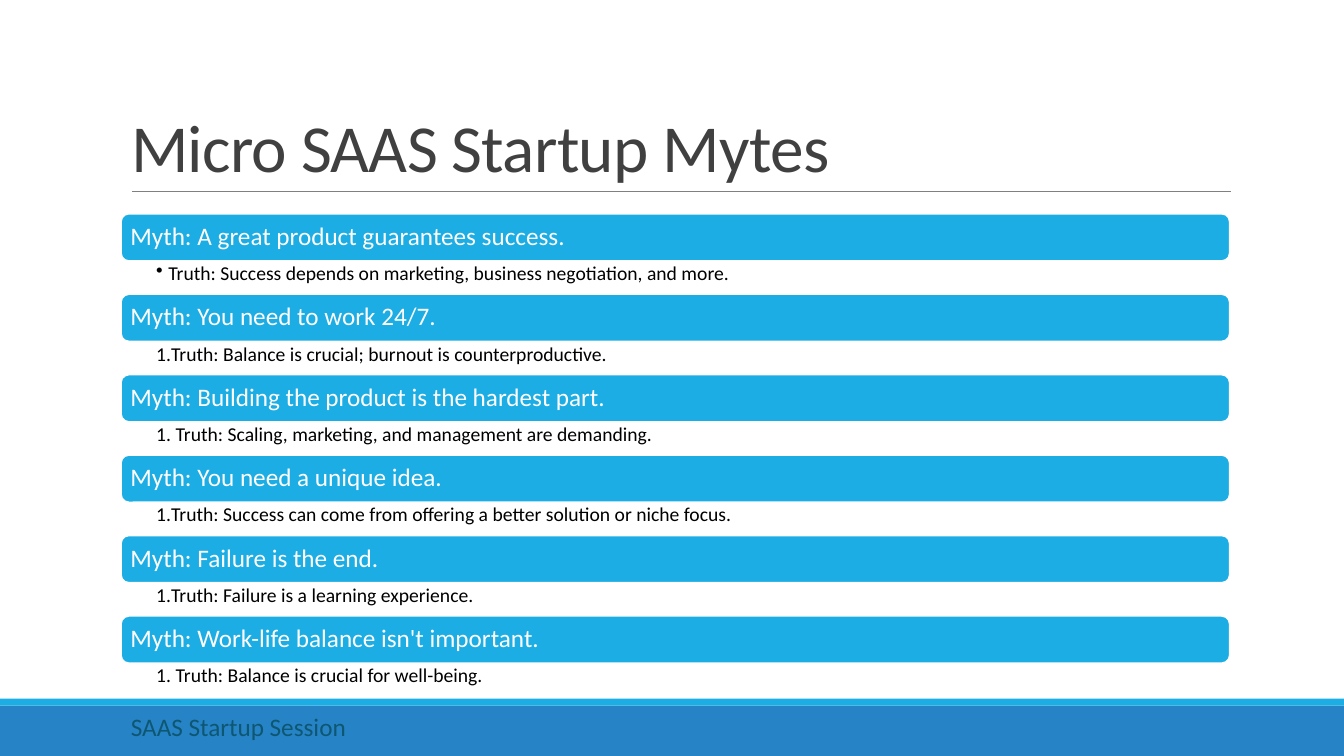
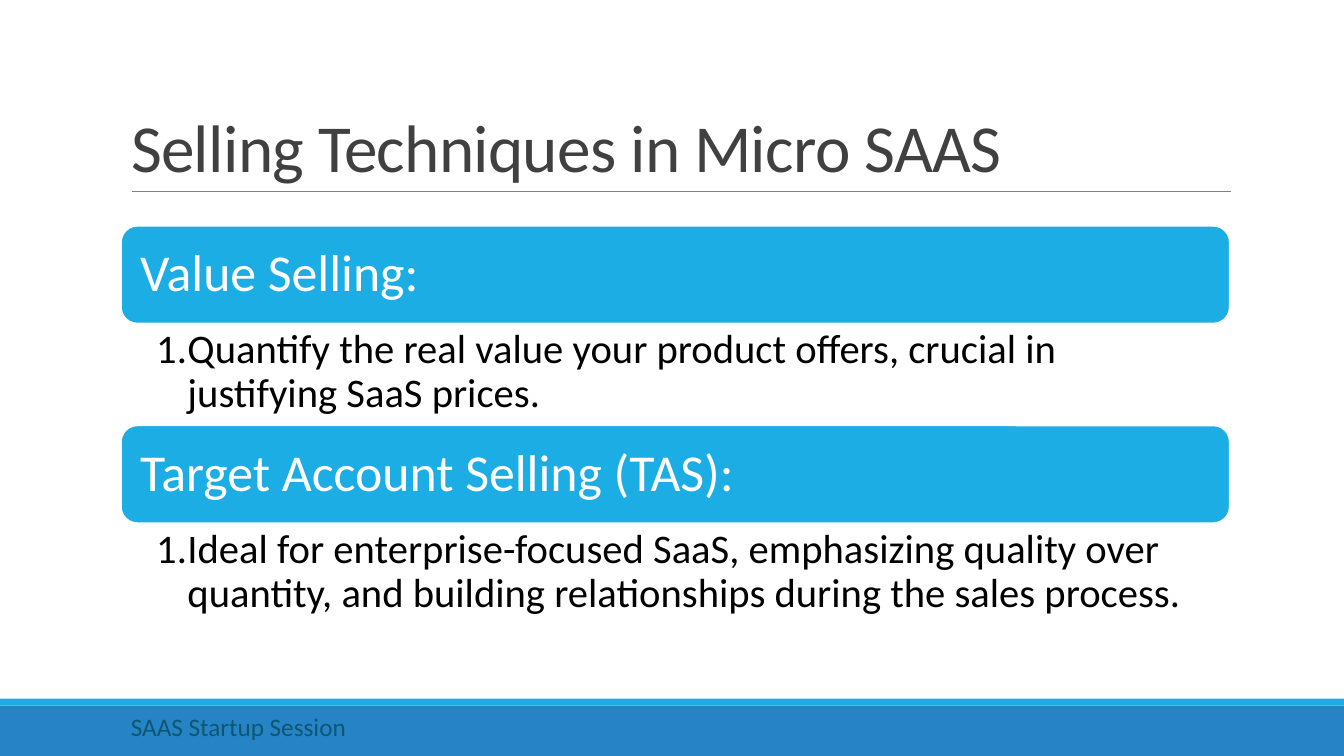
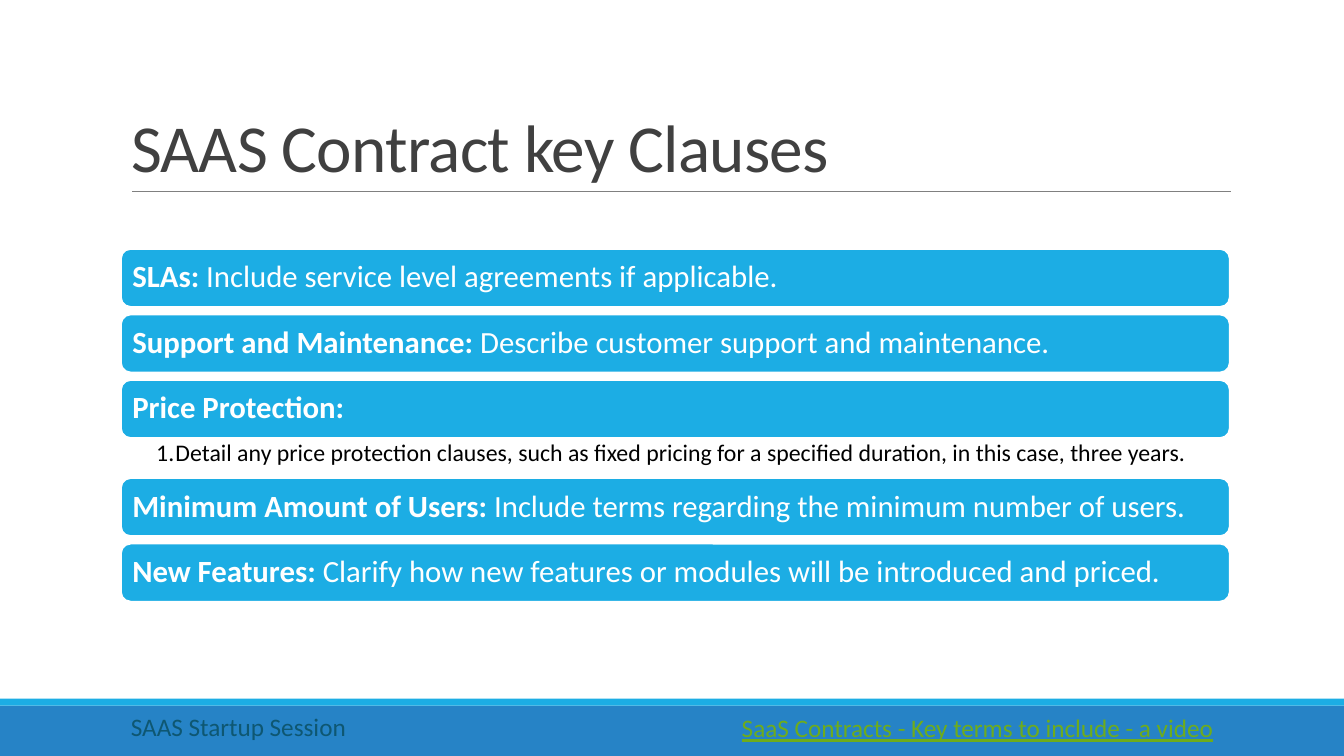
from dataclasses import dataclass

from lxml.etree import SubElement
from pptx import Presentation
from pptx.dml.color import RGBColor
from pptx.enum.shapes import MSO_CONNECTOR, MSO_SHAPE
from pptx.enum.text import MSO_ANCHOR, PP_ALIGN
from pptx.oxml.ns import qn
from pptx.util import Inches, Pt


@dataclass(frozen=True)
class Theme:
    font: str = "Calibri"
    accent: str = "1CADE4"
    band: str = "2683C6"
    rule: str = "808080"
    title: str = "404040"
    footer: str = "0E5772"
    link: str = "6EAC1C"
    white: str = "FFFFFF"
    black: str = "000000"
    title_size: int = 48
    footer_size: int = 18


@dataclass(frozen=True)
class ListStyle:
    top: float
    bar: float
    detail: float
    gap: float
    bar_size: int
    detail_size: int
    indent: float


THEME = Theme()
WIDTH, HEIGHT = Inches(13.33), Inches(7.5)
LEFT, SPAN = 9, 82.5
NUMBER, BULLET = "1.", "•"

MYTHS = [
    ("Myth: A great product guarantees success.", BULLET,
     "Truth: Success depends on marketing, business negotiation, and more."),
    ("Myth: You need to work 24/7.", NUMBER,
     "Truth: Balance is crucial; burnout is counterproductive."),
    ("Myth: Building the product is the hardest part.", NUMBER,
     " Truth: Scaling, marketing, and management are demanding."),
    ("Myth: You need a unique idea.", NUMBER,
     "Truth: Success can come from offering a better solution or niche focus."),
    ("Myth: Failure is the end.", NUMBER,
     "Truth: Failure is a learning experience."),
    ("Myth: Work-life balance isn't important.", NUMBER,
     " Truth: Balance is crucial for well-being."),
]
TECHNIQUES = [
    ("Value Selling:", NUMBER,
     "Quantify the real value your product offers, crucial in justifying "
     "SaaS prices."),
    ("Target Account Selling (TAS):", NUMBER,
     "Ideal for enterprise-focused SaaS, emphasizing quality over quantity, "
     "and building relationships during the sales process."),
]
CLAUSES = [
    (("SLAs:", " Include service level agreements if applicable."), None, None),
    (("Support and Maintenance:",
      " Describe customer support and maintenance."), None, None),
    (("Price Protection:", ""), NUMBER,
     "Detail any price protection clauses, such as fixed pricing for a "
     "specified duration, in this case, three years."),
    (("Minimum Amount of Users:",
      " Include terms regarding the minimum number of users."), None, None),
    (("New Features:",
      " Clarify how new features or modules will be introduced and priced."),
     None, None),
]


def across(percent):
    return round(WIDTH * percent / 100)


def down(percent):
    return round(HEIGHT * percent / 100)


def area(left, top, width, height):
    return across(left), down(top), across(width), down(height)


def style_font(font, size, color):
    font.name = THEME.font
    font.size = Pt(size)
    font.color.rgb = RGBColor.from_string(color)


def set_insets(frame, left, top, right, bottom):
    frame.margin_left, frame.margin_top = left, top
    frame.margin_right, frame.margin_bottom = right, bottom


def add_block(page, kind, place, fill):
    block = page.shapes.add_shape(kind, *place)
    block.shadow.inherit = False
    block.fill.solid()
    block.fill.fore_color.rgb = RGBColor.from_string(fill)
    block.line.fill.background()
    return block


def add_backdrop(page):
    band = add_block(page, MSO_SHAPE.RECTANGLE,
                     area(0, 93.33, 100, 6.67), THEME.band)
    stripe = add_block(page, MSO_SHAPE.RECTANGLE,
                       area(0, 92.4, 100, 0.93), THEME.accent)
    rule = page.shapes.add_connector(
        MSO_CONNECTOR.STRAIGHT, across(9.83), down(25.33),
        across(91.6), down(25.33))
    rule.line.color.rgb = RGBColor.from_string(THEME.rule)
    rule.line.width = Pt(0.5)
    SubElement(rule.element.spPr, qn("a:effectLst"))
    return band, stripe, rule


def share_backdrop(page):
    layout_tree = page.slide_layout.shapes.element
    for position, shape in enumerate(add_backdrop(page), 2):
        layout_tree.insert(position, shape.element)


def add_title(page, text):
    title = page.shapes.title
    title.left, title.top, title.width, title.height = area(LEFT, 4.13, SPAN, 21.2)
    frame = title.text_frame
    frame.vertical_anchor = MSO_ANCHOR.BOTTOM
    frame.word_wrap = True
    para = frame.paragraphs[0]
    para.alignment = PP_ALIGN.LEFT
    para.line_spacing = 0.85
    span = para.add_run()
    span.text = text
    style_font(span.font, THEME.title_size, THEME.title)
    span._r.get_or_add_rPr().set("spc", "-50")


def add_label(page, place, text, color, underline=None):
    box = page.shapes.add_textbox(*place)
    box.text_frame.word_wrap = True
    para = box.text_frame.paragraphs[0]
    para.text = text
    style_font(para.font, THEME.footer_size, color)
    para.font.underline = underline


def add_bar(page, top, heading, style):
    bar = add_block(page, MSO_SHAPE.ROUNDED_RECTANGLE,
                    area(LEFT, top, SPAN, style.bar), THEME.accent)
    bar.line.color.rgb = RGBColor.from_string(THEME.white)
    bar.line.width = Pt(1.25)
    frame = bar.text_frame
    frame.word_wrap = True
    frame.vertical_anchor = MSO_ANCHOR.MIDDLE
    set_insets(frame, *[Pt(style.bar_size * 0.28)] * 4)
    para = frame.paragraphs[0]
    para.alignment = PP_ALIGN.LEFT
    para.line_spacing = 0.9
    if isinstance(heading, str):
        para.text = heading
    else:
        for text, bold in zip(heading, (True, False)):
            if text:
                span = para.add_run()
                span.text = text
                span.font.bold = bold
    style_font(para.font, style.bar_size, THEME.white)


def add_marker(para, marker, indent):
    properties = para._p.get_or_add_pPr()
    properties.set("marL", str(Inches(indent)))
    properties.set("indent", str(-Inches(indent)))
    if marker == NUMBER:
        SubElement(properties, qn("a:buFont"), typeface="+mj-lt")
        SubElement(properties, qn("a:buAutoNum"), type="arabicPeriod")
    else:
        SubElement(properties, qn("a:buChar"), char=marker)


def add_detail(page, top, marker, text, style):
    box = page.shapes.add_textbox(*area(LEFT, top, SPAN, style.detail))
    frame = box.text_frame
    frame.word_wrap = True
    edge = Pt(style.detail_size * 0.13)
    set_insets(frame, Inches(0.35), edge, Pt(style.detail_size * 0.72), edge)
    para = frame.paragraphs[0]
    para.text = text
    para.line_spacing = 0.9
    add_marker(para, marker, style.indent)
    style_font(para.font, style.detail_size, THEME.black)


def add_list(page, entries, style):
    top = style.top
    for heading, marker, detail in entries:
        add_bar(page, top, heading, style)
        top += style.bar
        if detail:
            add_detail(page, top, marker, detail, style)
            top += style.detail
        else:
            top += style.gap


def add_page(deck, title, entries, style):
    page = deck.slides.add_slide(deck.slide_layouts[5])
    add_title(page, title)
    add_list(page, entries, style)
    add_label(page, area(LEFT, 93.47, 58.35, 5.33),
              "SAAS Startup Session", THEME.footer)
    return page


def main():
    deck = Presentation()
    deck.slide_width, deck.slide_height = WIDTH, HEIGHT
    myths = add_page(deck, "Micro SAAS Startup Mytes", MYTHS,
                     ListStyle(28.27, 6.27, 4.37, 0, 18, 14, 0.12))
    share_backdrop(myths)
    add_page(deck, "Selling Techniques in Micro SAAS", TECHNIQUES,
             ListStyle(29.87, 12.93, 13.47, 0, 37, 29, 0.31))
    clauses = add_page(deck, "SAAS Contract key Clauses", CLAUSES,
                       ListStyle(32.93, 7.67, 5.3, 1, 22, 17, 0.19))
    add_label(clauses, area(54.45, 93.6, 45.5, 5.33),
              "SaaS Contracts - Key terms to include - a video",
              THEME.link, underline=True)
    deck.save("out.pptx")


if __name__ == "__main__":
    main()
